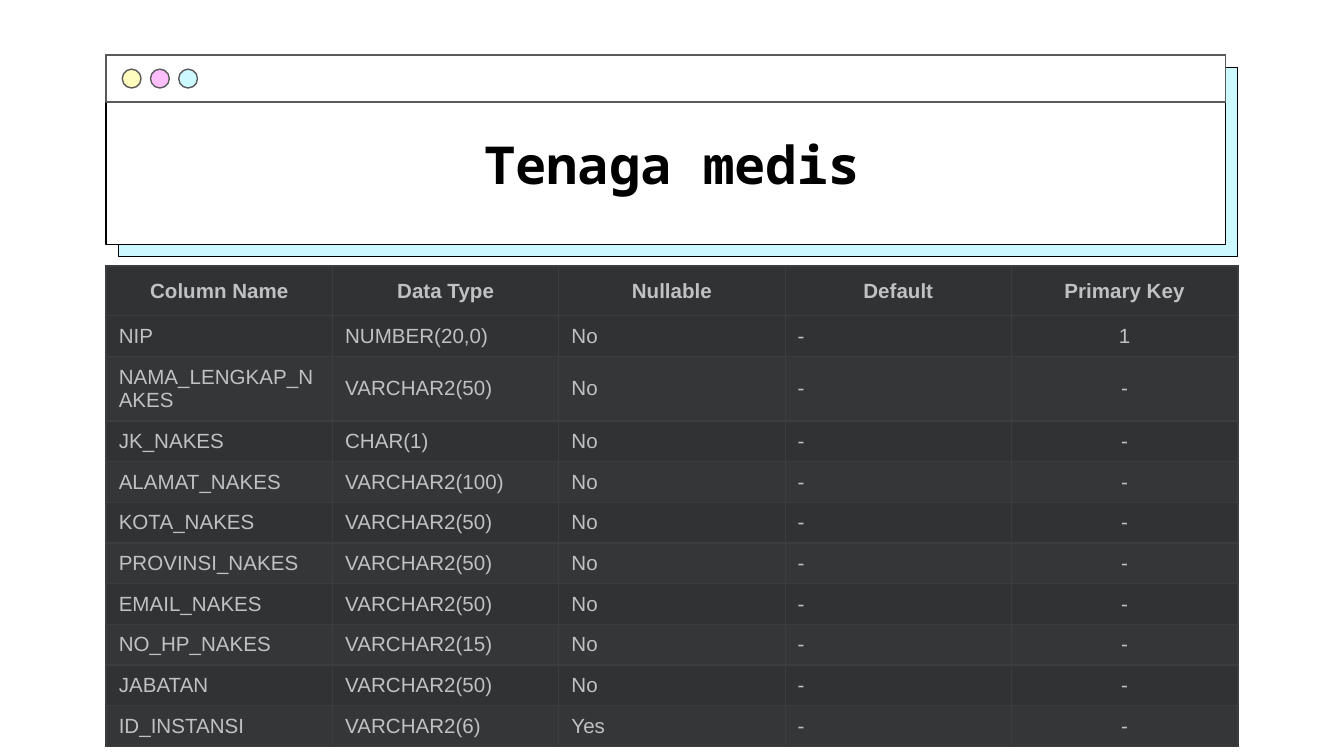
"""Builds a slide that documents the columns of the Tenaga medis database table."""
from lxml import etree
from pptx import Presentation
from pptx.dml.color import RGBColor
from pptx.enum.shapes import MSO_SHAPE
from pptx.enum.text import MSO_ANCHOR, MSO_AUTO_SIZE, PP_ALIGN
from pptx.oxml.ns import qn
from pptx.util import Inches, Pt

RECTANGLE, OVAL = MSO_SHAPE.RECTANGLE, MSO_SHAPE.OVAL
MIDDLE, BOTTOM = MSO_ANCHOR.MIDDLE, MSO_ANCHOR.BOTTOM
LEFT, CENTER = PP_ALIGN.LEFT, PP_ALIGN.CENTER
NO_AUTOFIT = MSO_AUTO_SIZE.NONE

THEME = {
    "black": "000000", "white": "FFFFFF", "gray": "595959",
    "yellow": "FFFCBE", "pink": "FFBFFD", "cyan": "CCF8FF",
    "row_dark": "303233", "row_light": "353638",
    "border": "3B3D3F", "cell_text": "C0C1C3",
    "title_font": "Noto Sans Mono", "table_font": "Arial",
    "title_size": Pt(28), "table_size": Pt(11),
    "line": Pt(0.75), "outer_line": Pt(1),
}

HEADERS = ["Column Name", "Data Type", "Nullable", "Default", "Primary Key"]
FIELDS = [
    ("NIP", "NUMBER(20,0)", "No", "1"),
    ("NAMA_LENGKAP_NAKES", "VARCHAR2(50)", "No", "-"),
    ("JK_NAKES", "CHAR(1)", "No", "-"),
    ("ALAMAT_NAKES", "VARCHAR2(100)", "No", "-"),
    ("KOTA_NAKES", "VARCHAR2(50)", "No", "-"),
    ("PROVINSI_NAKES", "VARCHAR2(50)", "No", "-"),
    ("EMAIL_NAKES", "VARCHAR2(50)", "No", "-"),
    ("NO_HP_NAKES", "VARCHAR2(15)", "No", "-"),
    ("JABATAN", "VARCHAR2(50)", "No", "-"),
    ("ID_INSTANSI", "VARCHAR2(6)", "Yes", "-"),
]


def add_outlined(slide, kind, box, fill, line):
    shape = slide.shapes.add_shape(kind, *box)
    shape.shadow.inherit = False
    shape.fill.solid()
    shape.fill.fore_color.rgb = RGBColor.from_string(THEME[fill])
    shape.line.color.rgb = RGBColor.from_string(THEME[line])
    shape.line.width = THEME["line"]
    return shape


def set_borders(cell_properties, widths):
    for position, (side, width) in enumerate(widths.items()):
        line = etree.Element(qn(f"a:ln{side}"), w=str(width))
        fill = etree.SubElement(line, qn("a:solidFill"))
        etree.SubElement(fill, qn("a:srgbClr"), val=THEME["border"])
        cell_properties.insert(position, line)


presentation = Presentation()
presentation.slide_width = Inches(10)
presentation.slide_height = presentation.slide_width * 9 // 16
slide = presentation.slides.add_slide(presentation.slide_layouts[5])

margin = Inches(0.79)
content_width = presentation.slide_width - 2 * margin
offset = Inches(0.09)
window_top, window_width, window_height = Inches(0.41), content_width - offset, Inches(1.41)
bar_height = Inches(0.35)

add_outlined(slide, RECTANGLE, (margin + offset, window_top + offset, window_width, window_height), "cyan", "black")
add_outlined(slide, RECTANGLE, (margin, window_top, window_width, window_height), "white", "black")
title_bar = add_outlined(slide, RECTANGLE, (margin, window_top, window_width, bar_height), "white", "gray")

button_size, button_pitch = Inches(0.14), Inches(0.21)
button_top = window_top + (bar_height - button_size) // 2
for index, color in enumerate(("yellow", "pink", "cyan")):
    button_left = Inches(0.91) + index * button_pitch
    add_outlined(slide, OVAL, (button_left, button_top, button_size, button_size), color, "gray")

title = slide.shapes.title
title_bar.element.addnext(title.element)
title.left, title.top, title.width, title.height = margin, Inches(0.9), content_width, Inches(0.63)
title_frame = title.text_frame
title_frame.text = "Tenaga medis"
title_frame.auto_size = NO_AUTOFIT
title_frame.vertical_anchor = MIDDLE
title_frame.margin_left = title_frame.margin_right = Inches(0.1)
title_frame.margin_top = title_frame.margin_bottom = Inches(0.1)
title_paragraph = title_frame.paragraphs[0]
title_paragraph.alignment = CENTER
title_font = title_paragraph.runs[0].font
title_font.name, title_font.size, title_font.bold = THEME["title_font"], THEME["title_size"], True
title_font.color.rgb = RGBColor.from_string(THEME["black"])

rows = [HEADERS] + [(name, kind, nullable, "-", key) for name, kind, nullable, key in FIELDS]
row_heights = [Inches(0.37), Pt(21.8), Inches(0.48)] + [Pt(21.8)] * (len(rows) - 3)
last_column = len(HEADERS) - 1
table = slide.shapes.add_table(
    len(rows), len(HEADERS), margin, Inches(1.98), content_width, sum(row_heights)
).table

for row_index, values in enumerate(rows):
    table.rows[row_index].height = row_heights[row_index]
    is_header = row_index == 0
    is_light = row_index > 0 and row_index % 2 == 0
    for column_index, value in enumerate(values):
        cell = table.cell(row_index, column_index)
        cell.text = value
        cell.vertical_anchor = BOTTOM if is_header else MIDDLE
        cell.margin_left = cell.margin_right = Pt(6.75)
        cell.margin_top = cell.margin_bottom = Pt(6.75 if is_header else 4.5)
        cell.fill.solid()
        cell.fill.fore_color.rgb = RGBColor.from_string(THEME["row_light" if is_light else "row_dark"])
        paragraph = cell.text_frame.paragraphs[0]
        paragraph.alignment = CENTER if is_header or column_index == last_column else LEFT
        font = paragraph.runs[0].font
        font.name, font.size, font.bold = THEME["table_font"], THEME["table_size"], is_header
        font.color.rgb = RGBColor.from_string(THEME["cell_text"])
        outer_sides = {"L": column_index == 0, "R": column_index == last_column, "T": is_header, "B": False}
        set_borders(
            cell._tc.tcPr,
            {side: THEME["outer_line" if outer else "line"] for side, outer in outer_sides.items()},
        )

presentation.save("out.pptx")
